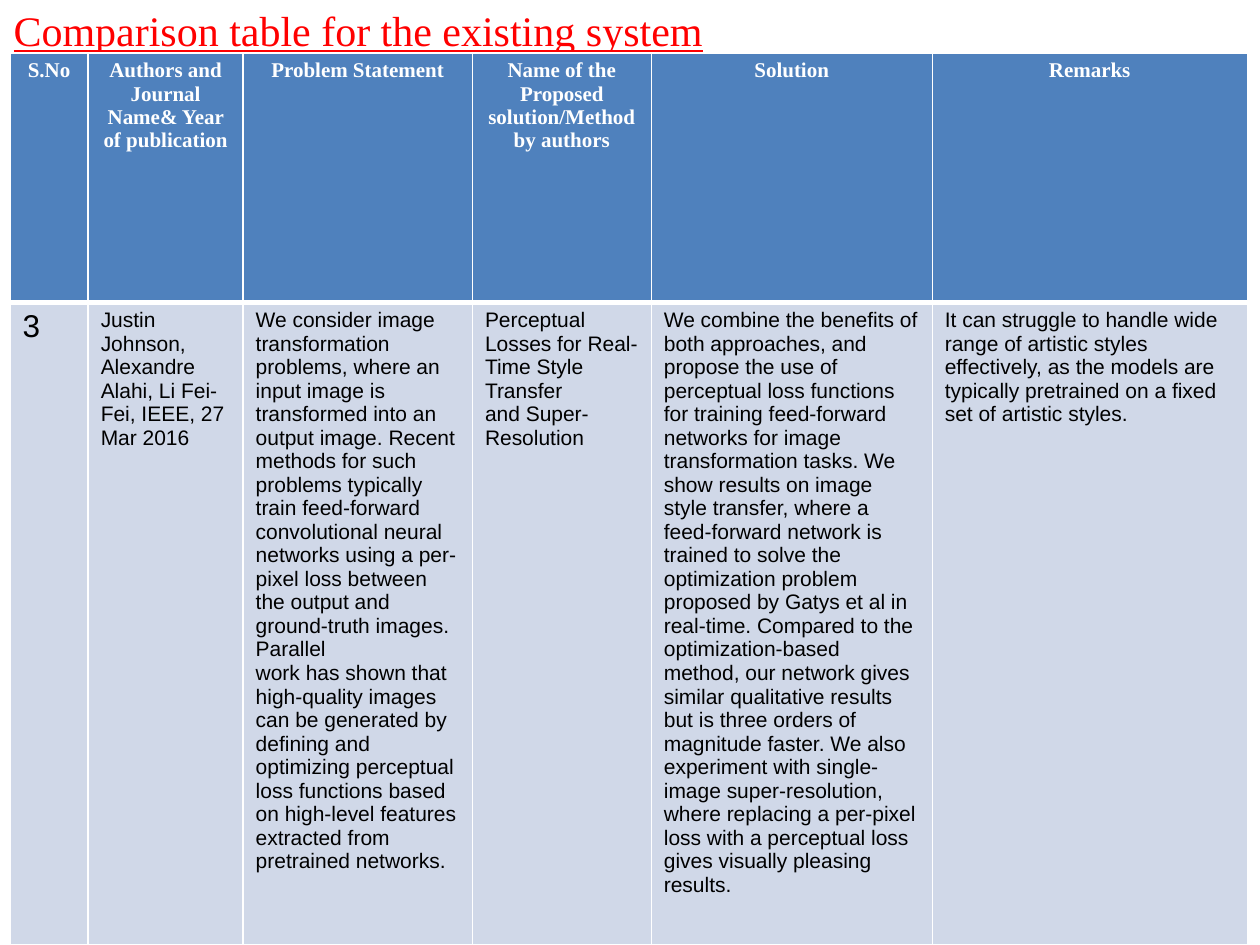
from dataclasses import dataclass

from lxml.etree import SubElement
from pptx import Presentation
from pptx.dml.color import RGBColor
from pptx.enum.text import MSO_AUTO_SIZE as AutoSize, PP_ALIGN as Align
from pptx.oxml.ns import qn
from pptx.util import Inches, Pt

SLIDE_WIDTH, SLIDE_HEIGHT = Inches(10), Inches(7.5)
GRID_COLUMNS, GRID_ROWS = 1000, 750
WHITE = "FFFFFF"
COLUMN_SPANS = [62, 123, 182, 142, 223, 250]


@dataclass(frozen=True)
class TextStyle:
    font: dict
    color: str
    alignment: Align = Align.LEFT


@dataclass(frozen=True)
class TableRow:
    span: int
    fill: str
    borders: dict
    styles: list
    texts: list


TITLE = TextStyle({"name": "Times New Roman", "size": Pt(24), "underline": True}, "FF0000")
HEADING = TextStyle({"name": "Times New Roman", "size": Pt(12), "bold": True}, WHITE, Align.CENTER)
NUMBER = TextStyle({"name": "Arial", "size": Pt(18), "bold": False}, "000000")
BODY = TextStyle({"name": "Arial", "size": Pt(12), "bold": False}, "000000")

ROWS = [
    TableRow(198, "4F81BD", {"lnL": 1, "lnR": 1, "lnT": 1, "lnB": 3}, [HEADING] * 6, [
        "S.No",
        "Authors and Journal Name& Year of publication",
        "Problem Statement",
        "Name of the Proposed solution/Method by authors",
        "Solution",
        "Remarks",
    ]),
    TableRow(508, "D0D8E8", {"lnL": 1, "lnR": 1, "lnT": 3, "lnB": 1}, [NUMBER] + [BODY] * 5, [
        "3",
        "Justin Johnson, Alexandre Alahi, Li Fei-Fei, IEEE, 27 Mar 2016",
        "We consider image transformation problems, where an input image is transformed "
        "into an output image. Recent methods for such problems typically train "
        "feed-forward convolutional neural networks using a per-pixel loss between the "
        "output and ground-truth images. Parallel\n"
        "work has shown that high-quality images can be generated by defining and "
        "optimizing perceptual loss functions based on high-level features extracted "
        "from pretrained networks.",
        "Perceptual Losses for Real-Time Style Transfer\nand Super-Resolution",
        "We combine the benefits of both approaches, and propose the use of perceptual "
        "loss functions for training feed-forward networks for image transformation "
        "tasks. We show results on image style transfer, where a feed-forward network is "
        "trained to solve the optimization problem proposed by Gatys et al in real-time. "
        "Compared to the optimization-based method, our network gives similar qualitative "
        "results but is three orders of magnitude faster. We also experiment with "
        "single-image super-resolution, where replacing a per-pixel loss with a "
        "perceptual loss gives visually pleasing results.",
        "It can struggle to handle wide range of artistic styles effectively, as the "
        "models are typically pretrained on a fixed set of artistic styles.",
    ]),
]


def across(columns: int) -> int:
    return round(SLIDE_WIDTH * columns / GRID_COLUMNS)


def down(rows: int) -> int:
    return round(SLIDE_HEIGHT * rows / GRID_ROWS)


def hex_color(value: str) -> RGBColor:
    return RGBColor.from_string(value)


def write_text(text_frame, text: str, style: TextStyle) -> None:
    text_frame.text = text
    for paragraph in text_frame.paragraphs:
        paragraph.alignment = style.alignment
        for run in paragraph.runs:
            for attribute, value in style.font.items():
                setattr(run.font, attribute, value)
            run.font.color.rgb = hex_color(style.color)


def set_borders(cell, borders: dict) -> None:
    properties = cell._tc.get_or_add_tcPr()
    for position, (side, points) in enumerate(borders.items()):
        line = SubElement(properties, qn(f"a:{side}"), w=str(Pt(points)))
        fill = SubElement(line, qn("a:solidFill"))
        SubElement(fill, qn("a:srgbClr"), val=WHITE)
        properties.insert(position, line)


def draw_title(slide, text: str) -> None:
    shape = slide.shapes.add_textbox(across(1), down(-1), across(983), down(50))
    shape.text_frame.word_wrap = True
    shape.text_frame.auto_size = AutoSize.SHAPE_TO_FIT_TEXT
    write_text(shape.text_frame, text, TITLE)


def draw_table(slide, rows: list[TableRow]) -> None:
    height = sum(row.span for row in rows)
    table = slide.shapes.add_table(
        len(rows), len(COLUMN_SPANS), across(8), down(42), across(sum(COLUMN_SPANS)), down(height)
    ).table
    for column, span in zip(table.columns, COLUMN_SPANS):
        column.width = across(span)
    for table_row, row in zip(table.rows, rows):
        table_row.height = down(row.span)
        for cell, text, style in zip(table_row.cells, row.texts, row.styles):
            cell.fill.solid()
            cell.fill.fore_color.rgb = hex_color(row.fill)
            set_borders(cell, row.borders)
            write_text(cell.text_frame, text, style)


def main() -> None:
    presentation = Presentation()
    presentation.slide_width, presentation.slide_height = SLIDE_WIDTH, SLIDE_HEIGHT
    slide = presentation.slides.add_slide(presentation.slide_layouts[6])
    draw_title(slide, "Comparison table for the existing system")
    draw_table(slide, ROWS)
    presentation.save("out.pptx")


if __name__ == "__main__":
    main()
